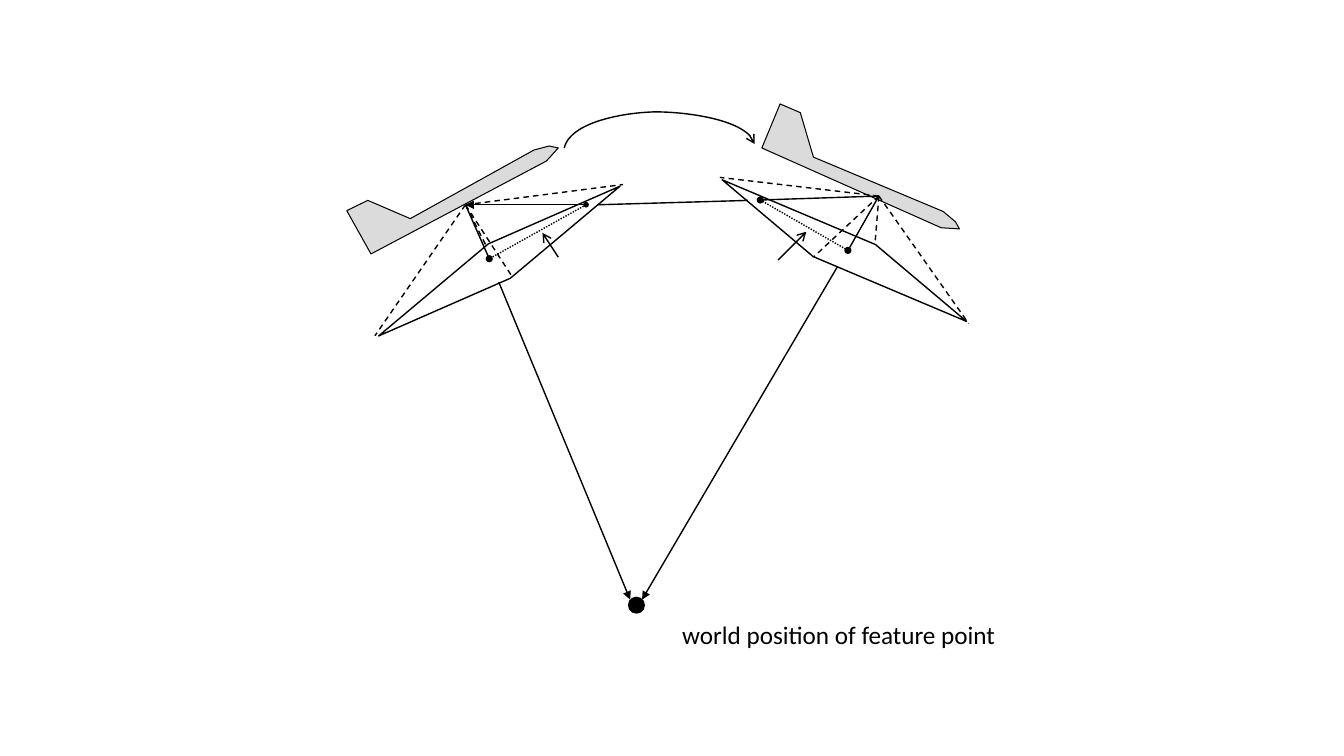
from dataclasses import dataclass
from typing import NamedTuple, Optional

from lxml import etree
from pptx import Presentation
from pptx.dml.color import RGBColor
from pptx.enum.dml import MSO_LINE
from pptx.enum.shapes import MSO_CONNECTOR, MSO_SHAPE
from pptx.enum.text import MSO_AUTO_SIZE
from pptx.oxml.ns import qn
from pptx.util import Cm, Pt

DASH = MSO_LINE.DASH
DOTS = MSO_LINE.ROUND_DOT
STRAIGHT = MSO_CONNECTOR.STRAIGHT
OVAL = MSO_SHAPE.OVAL
PARALLELOGRAM = MSO_SHAPE.PARALLELOGRAM
FIT_TEXT = MSO_AUTO_SIZE.SHAPE_TO_FIT_TEXT
BLANK_LAYOUT = 6
CURVE_STEPS = 32


@dataclass(frozen=True)
class Theme:
    ink: RGBColor = RGBColor(0x00, 0x00, 0x00)
    paper: RGBColor = RGBColor(0xFF, 0xFF, 0xFF)
    plane: RGBColor = RGBColor(0xDB, 0xDB, 0xDB)
    font: str = "Calibri"
    label_size: float = 18
    line_width: float = 1
    outline_width: float = 0.75


THEME = Theme()


class Point(NamedTuple):
    x: float
    y: float


class ImagePlane(NamedTuple):
    left: float
    top: float
    width: float
    height: float
    rotation: float
    slant: float


class Dot(NamedTuple):
    center: Point
    diameter: float


class Line(NamedTuple):
    start: Point
    end: Point
    dash: Optional[MSO_LINE] = None
    arrow: Optional[str] = None


# All positions are in centimetres
LEFT_EYE, RIGHT_EYE = Point(11.73, 5.16), Point(22.15, 4.94)
LEFT_FEATURE, RIGHT_FEATURE = Point(12.33, 6.52), Point(21.37, 6.31)
LEFT_EPIPOLE, RIGHT_EPIPOLE = Point(14.77, 5.16), Point(19.16, 5.04)

PLANES = [
    [Point(9.35, 6.4), Point(8.74, 5.31), Point(9.27, 5.05), Point(10.34, 5.51),
     Point(13.46, 3.78), Point(13.84, 3.68), Point(14.07, 3.73), Point(13.77, 4.06)],
    [Point(19.2, 3.73), Point(19.66, 2.62), Point(20.17, 2.84), Point(20.5, 3.96),
     Point(23.77, 5.33), Point(24.08, 5.59), Point(24.18, 5.77), Point(23.72, 5.74)],
]
IMAGE_PLANES = [
    ImagePlane(17.75, 5.87, 7.06, 0.89, 22.9, 3.22),
    ImagePlane(9.04, 6.07, 7.09, 1.02, 320, 3.41),
]
DOTS_SHOWN = [
    Dot(Point(16.04, 15.25), 0.43),
    Dot(LEFT_FEATURE, 0.18),
    Dot(RIGHT_FEATURE, 0.18),
    Dot(RIGHT_EPIPOLE, 0.18),
    Dot(LEFT_EPIPOLE, 0.14),
]
VIEW_CORNERS = {
    LEFT_EYE: [Point(12.9, 6.96), Point(15.7, 4.65), Point(12.24, 6.17), Point(9.45, 8.46)],
    RIGHT_EYE: [Point(20.5, 6.48), Point(24.41, 8.15), Point(18.14, 4.47), Point(22.05, 6.15)],
}
LINES = [
    # Rays to the feature point
    Line(LEFT_EYE, LEFT_FEATURE),
    Line(RIGHT_EYE, RIGHT_FEATURE),
    Line(Point(12.57, 7.11), Point(15.88, 15.11), arrow="triangle"),
    Line(Point(21.11, 6.71), Point(16.18, 15.11), arrow="triangle"),
    # Baseline between the cameras
    Line(LEFT_EPIPOLE, LEFT_EYE, arrow="triangle"),
    Line(Point(15.06, 5.16), Point(18.85, 5.05)),
    Line(RIGHT_EPIPOLE, RIGHT_EYE),
    # Epipolar lines and their pointers
    Line(LEFT_EPIPOLE, LEFT_FEATURE, dash=DOTS),
    Line(RIGHT_FEATURE, RIGHT_EPIPOLE, dash=DOTS),
    Line(Point(14.07, 6.48), Point(13.67, 5.87), arrow="arrow"),
    Line(Point(19.61, 6.55), Point(20.32, 5.84), arrow="arrow"),
]
MOTION_CURVES = [
    (Point(14.22, 3.73), Point(14.38, 3.07), Point(15.72, 2.84), Point(16.51, 2.82)),
    (Point(16.51, 2.82), Point(17.32, 2.82), Point(18.85, 3.02), Point(19.02, 3.63)),
]


def style_line(line, width: float = THEME.line_width, dash=None, arrow: Optional[str] = None) -> None:
    line.color.rgb = THEME.ink
    line.width = Pt(width)
    if dash is not None:
        line.dash_style = dash
    if arrow:
        etree.SubElement(line._get_or_add_ln(), qn("a:tailEnd"), type=arrow)


def fill_shape(shape, color: RGBColor) -> None:
    shape.shadow.inherit = False
    shape.fill.solid()
    shape.fill.fore_color.rgb = color


def draw_outline(page, points: list[Point], close: bool):
    corners = [(Cm(point.x), Cm(point.y)) for point in points]
    builder = page.shapes.build_freeform(*corners[0])
    builder.add_line_segments(corners[1:], close=close)
    return builder.convert_to_shape()


def draw_plane(page, points: list[Point]) -> None:
    plane = draw_outline(page, points, close=True)
    fill_shape(plane, THEME.plane)
    style_line(plane.line, THEME.outline_width)


def draw_image_plane(page, item: ImagePlane) -> None:
    shape = page.shapes.add_shape(
        PARALLELOGRAM, Cm(item.left), Cm(item.top), Cm(item.width), Cm(item.height))
    shape.adjustments[0] = item.slant
    shape.rotation = item.rotation
    shape.element.spPr.find(qn("a:xfrm")).set("flipV", "1")
    fill_shape(shape, THEME.paper)
    style_line(shape.line)


def draw_dot(page, dot: Dot) -> None:
    radius = dot.diameter / 2
    shape = page.shapes.add_shape(
        OVAL, Cm(dot.center.x - radius), Cm(dot.center.y - radius),
        Cm(dot.diameter), Cm(dot.diameter))
    fill_shape(shape, THEME.ink)
    shape.line.fill.background()


def draw_line(page, item: Line) -> None:
    connector = page.shapes.add_connector(
        STRAIGHT, Cm(item.start.x), Cm(item.start.y), Cm(item.end.x), Cm(item.end.y))
    style_line(connector.line, dash=item.dash, arrow=item.arrow)
    etree.SubElement(connector._element.spPr, qn("a:effectLst"))


def curve_point(curve: tuple[Point, ...], t: float) -> Point:
    weights = ((1 - t) ** 3, 3 * t * (1 - t) ** 2, 3 * t ** 2 * (1 - t), t ** 3)
    return Point(sum(w * p.x for w, p in zip(weights, curve)),
                 sum(w * p.y for w, p in zip(weights, curve)))


def draw_motion(page) -> None:
    points = [MOTION_CURVES[0][0]]
    for curve in MOTION_CURVES:
        points += [curve_point(curve, step / CURVE_STEPS) for step in range(1, CURVE_STEPS + 1)]
    motion = draw_outline(page, points, close=False)
    motion.shadow.inherit = False
    motion.fill.background()
    style_line(motion.line, arrow="arrow")


def add_text(page, text: str, *, left: float, top: float, width: float, height: float,
             size: float = THEME.label_size, color: RGBColor = THEME.ink) -> None:
    box = page.shapes.add_textbox(Cm(left), Cm(top), Cm(width), Cm(height))
    box.text_frame.word_wrap = False
    box.text_frame.auto_size = FIT_TEXT
    span = box.text_frame.paragraphs[0].add_run()
    span.text = text
    span.font.name = THEME.font
    span.font.size = Pt(size)
    span.font.color.rgb = color


def main() -> None:
    deck = Presentation()
    deck.slide_width, deck.slide_height = Cm(33.87), Cm(19.05)
    page = deck.slides.add_slide(deck.slide_layouts[BLANK_LAYOUT])

    # Aircraft and their image planes
    for points in PLANES:
        draw_plane(page, points)
    for item in IMAGE_PLANES:
        draw_image_plane(page, item)

    # Viewing pyramids, rays and motion
    for eye, corners in VIEW_CORNERS.items():
        for corner in corners:
            draw_line(page, Line(eye, corner, dash=DASH))
    for line in LINES:
        draw_line(page, line)
    draw_motion(page)

    # Points and label
    for dot in DOTS_SHOWN:
        draw_dot(page, dot)
    add_text(page, "world position of feature point", left=16.94, top=15.49, width=8.51, height=1.02)
    deck.save("out.pptx")


if __name__ == "__main__":
    main()
